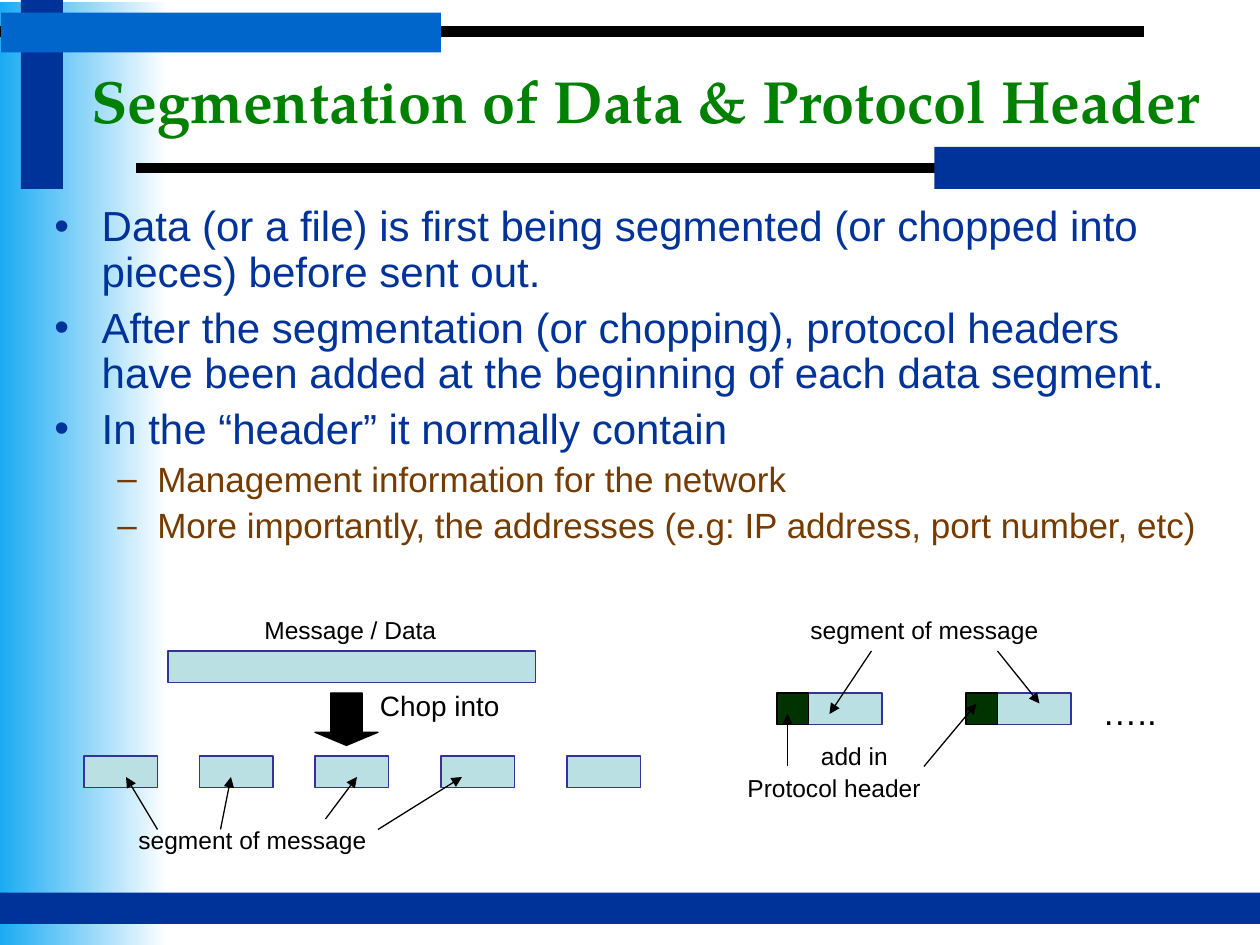
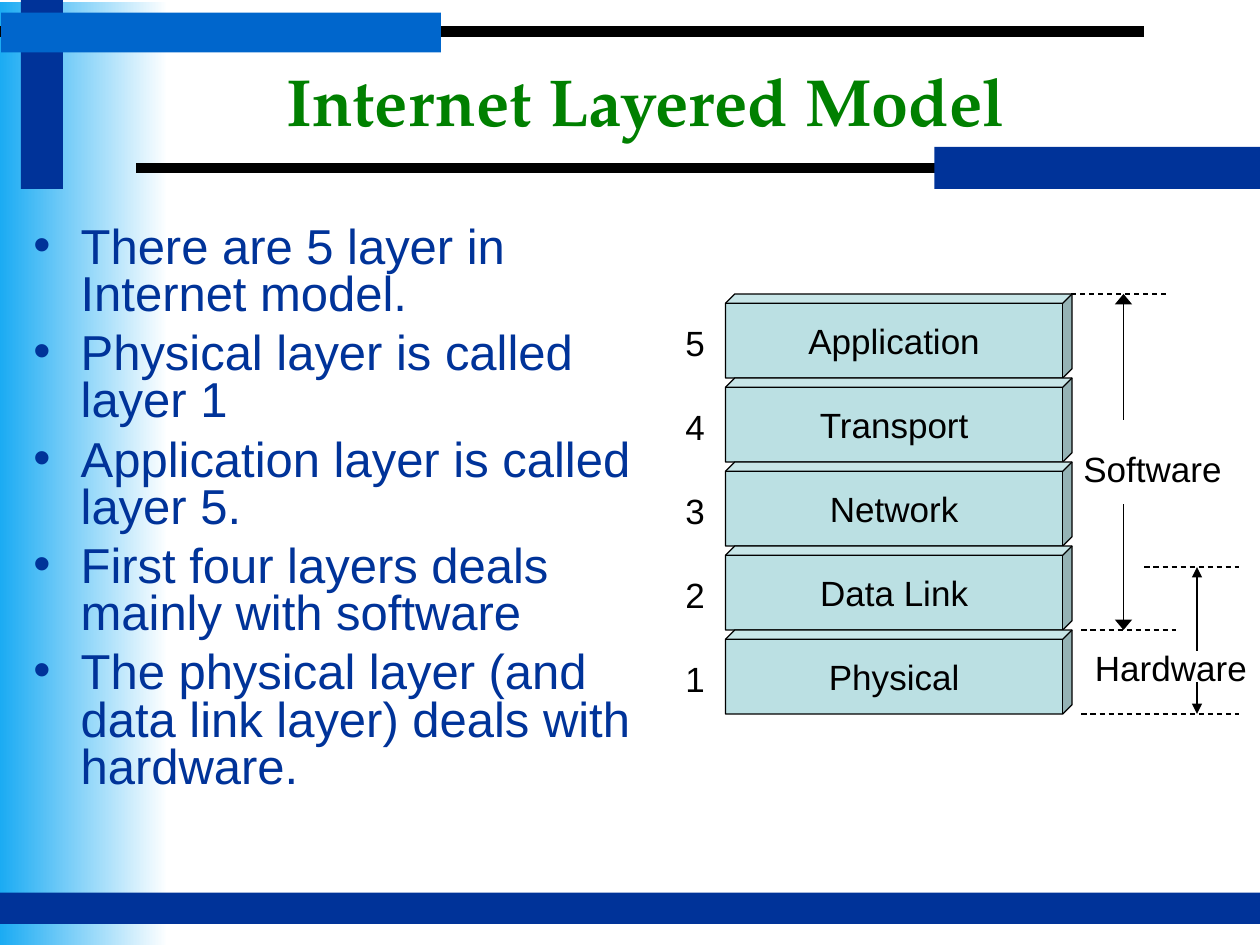
from dataclasses import dataclass

from lxml import etree
from pptx import Presentation
from pptx.dml.color import RGBColor
from pptx.enum.dml import MSO_LINE
from pptx.enum.shapes import MSO_CONNECTOR, MSO_SHAPE
from pptx.enum.text import MSO_ANCHOR, PP_ALIGN
from pptx.oxml.ns import qn
from pptx.util import Pt

RECTANGLE = MSO_SHAPE.RECTANGLE
DOWN_ARROW = MSO_SHAPE.DOWN_ARROW
CUBE = MSO_SHAPE.CUBE
STRAIGHT = MSO_CONNECTOR.STRAIGHT
DASH = MSO_LINE.DASH
LEFT = PP_ALIGN.LEFT
CENTER = PP_ALIGN.CENTER
TOP = MSO_ANCHOR.TOP
MIDDLE = MSO_ANCHOR.MIDDLE

EMU_PER_PX = 7620
SLIDE_WIDTH, SLIDE_HEIGHT = 1200, 900


@dataclass(frozen=True)
class Theme:
    navy: str = "003399"
    blue: str = "0066CC"
    sky: str = "1BABF3"
    white: str = "FFFFFF"
    black: str = "000000"
    title_green: str = "008000"
    brown: str = "763B00"
    pale_teal: str = "BBE0E3"
    segment_edge: str = "333399"
    header_green: str = "003300"
    title_font: str = "TeX Gyre Pagella"
    body_font: str = "Arial"
    wide_title: int = 34
    title: int = 38
    large_body: int = 28
    body: int = 24
    sub_body: int = 20
    caption: int = 14
    step: int = 16
    label: int = 20
    rule: float = 6
    hairline: float = 0.75


THEME = Theme()


def px(length):
    return length * EMU_PER_PX


def color(value):
    return RGBColor.from_string(value)


def style_font(font, size, tint, name=THEME.body_font, bold=False):
    font.name = name
    font.size = Pt(size)
    font.bold = bold
    font.color.rgb = color(tint)


def add_block(slide, kind, x, y, width, height, fill, edge=None):
    block = slide.shapes.add_shape(kind, px(x), px(y), px(width), px(height))
    block.shadow.inherit = False
    block.fill.solid()
    block.fill.fore_color.rgb = color(fill)
    if edge:
        block.line.color.rgb = color(edge)
        block.line.width = Pt(THEME.hairline)
    else:
        block.line.fill.background()
    return block


def add_line(slide, start, end, width=THEME.hairline, dashed=False, head=None):
    line = slide.shapes.add_connector(STRAIGHT, *map(px, (*start, *end)))
    line.line.color.rgb = color(THEME.black)
    line.line.width = Pt(width)
    if dashed:
        line.line.dash_style = DASH
    if head:
        outline = line._element.spPr.find(qn("a:ln"))
        etree.SubElement(outline, qn("a:tailEnd"), type="triangle", w=head, len="med")
    etree.SubElement(line._element.spPr, qn("a:effectLst"))


def write(frame, text, size, tint=THEME.black, align=LEFT, anchor=TOP, wrap=False, **font):
    frame.word_wrap = wrap
    frame.vertical_anchor = anchor
    if align == LEFT:
        frame.margin_right = 0
    paragraph = frame.paragraphs[0]
    paragraph.text = text
    paragraph.alignment = align
    style_font(paragraph.font, size, tint, **font)


def add_label(slide, text, x, y, width, height=41, size=THEME.caption, **style):
    label = slide.shapes.add_textbox(px(x), px(y), px(width), px(height))
    write(label.text_frame, text, size, **style)


def add_bullets(slide, box, items, levels, line_spacing):
    body = slide.shapes.add_textbox(*map(px, box)).text_frame
    body.word_wrap = True
    for index, (level, text) in enumerate(items):
        mark, size, tint, margin, hang, space = levels[level]
        paragraph = body.paragraphs[0] if index == 0 else body.add_paragraph()
        paragraph.text = text
        paragraph.level = level
        paragraph.line_spacing = line_spacing
        paragraph.space_before = Pt(space)
        properties = paragraph._p.get_or_add_pPr()
        properties.set("marL", str(px(margin)))
        properties.set("indent", str(px(-hang)))
        mark_color = etree.SubElement(properties, qn("a:buClr"))
        etree.SubElement(mark_color, qn("a:srgbClr"), val=tint)
        etree.SubElement(properties, qn("a:buFont"), typeface=THEME.body_font)
        etree.SubElement(properties, qn("a:buChar"), char=mark)
        style_font(paragraph.font, size, tint)


def add_frame(slide, title, title_size):
    glow = add_block(slide, RECTANGLE, 0, 2, 160, SLIDE_HEIGHT - 2, THEME.sky)
    glow.fill.gradient()
    glow.fill.gradient_angle = 0
    for stop, position, tint in zip(glow.fill.gradient_stops, (0, 1), (THEME.sky, THEME.white)):
        stop.position = position
        stop.color.rgb = color(tint)
    add_line(slide, (130, 160), (SLIDE_WIDTH, 160), THEME.rule)
    add_line(slide, (0, 30), (1090, 30), THEME.rule)
    for x, y, width, height, fill in (
        (20, 0, 40, 180, THEME.navy),
        (1, 12, 419, 38, THEME.blue),
        (890, 140, 310, 40, THEME.navy),
        (0, 850, SLIDE_WIDTH, 30, THEME.navy),
    ):
        add_block(slide, RECTANGLE, x, y, width, height, fill)
    add_label(slide, title, 60, 40, 1110, 110, title_size, tint=THEME.title_green,
              align=CENTER, anchor=MIDDLE, wrap=True, name=THEME.title_font, bold=True)


def add_segment(slide, x, y, width=70):
    add_block(slide, RECTANGLE, x, y, width, 30, THEME.pale_teal, THEME.segment_edge)


def add_pointers(slide, left, top, pointers):
    for x1, y1, x2, y2 in pointers:
        add_line(slide, (left + x1, top + y1), (left + x2, top + y2), head="med")


def draw_chopping(slide, left, top):
    for offset in (0, 110, 220, 340, 460):
        add_segment(slide, left + offset, top + 140)
    add_segment(slide, left + 80, top + 40, 350)
    add_label(slide, "Message / Data", left + 160, top, 187)
    add_label(slide, "segment of message", left + 40, top + 200, 241)
    add_pointers(slide, left, top, (
        (70, 210, 40, 160),
        (130, 210, 140, 160),
        (230, 200, 260, 160),
        (280, 210, 360, 160),
    ))
    chop = add_block(slide, DOWN_ARROW, left + 220, top + 80, 60, 50, THEME.black, THEME.black)
    chop.adjustments[1] = 0.25
    add_label(slide, "Chop into", left + 270, top + 70, 138, 44, THEME.step)


def draw_header_adding(slide, left, top):
    for offset in (40, 220):
        add_segment(slide, left + offset + 30, top + 80)
        add_block(slide, RECTANGLE, left + offset, top + 80, 30, 30,
                  THEME.header_green, THEME.black)
    add_label(slide, "Protocol header", left, top + 150, 188)
    add_label(slide, "…..", left + 338, top + 72, 76, 53, THEME.label)
    add_label(slide, "segment of message", left + 60, top, 241)
    add_label(slide, "add in", left + 70, top + 120, 97)
    add_pointers(slide, left, top, (
        (50, 150, 50, 100),
        (180, 150, 230, 90),
        (130, 40, 90, 100),
        (250, 40, 290, 90),
    ))


def draw_layer_stack(slide, left, top):
    layers = ("Application", "Transport", "Network", "Data Link", "Physical")
    for row, layer in enumerate(layers):
        y = top + row * 80
        cube = add_block(slide, CUBE, left + 50, y, 330, 80, THEME.pale_teal, THEME.black)
        cube.adjustments[0] = 0.11
        write(cube.text_frame, layer, THEME.label, align=CENTER, anchor=MIDDLE)
        add_label(slide, str(len(layers) - row), left, y + 20, 42, 53, THEME.label)


def draw_layer_spans(slide, left, top):
    for text, x, y, width in (("Software", 0, 140, 156), ("Hardware", 11, 330, 168)):
        add_label(slide, text, left + x, top + y, width, 53, THEME.label)
    for x, start, end, head in (
        (50, 200, 320, "lg"),
        (50, 120, 0, "lg"),
        (120, 340, 260, "med"),
        (120, 370, 400, "med"),
    ):
        add_line(slide, (left + x, top + start), (left + x, top + end), head=head)
    for y, start, end in ((0, 0, 90), (260, 70, 160), (320, 10, 100), (400, 10, 160)):
        add_line(slide, (left + start, top + y), (left + end, top + y), dashed=True)


def build_segmentation(slide):
    add_frame(slide, "Segmentation of Data & Protocol Header", THEME.wide_title)
    levels = (("•", THEME.body, THEME.navy, 45, 45, 6),
              ("–", THEME.sub_body, THEME.brown, 98, 38, 5))
    add_bullets(slide, (40, 190, 1120, 370), (
        (0, "Data (or a file) is first being segmented (or chopped into pieces) before sent out."),
        (0, "After the segmentation (or chopping), protocol headers have been added "
            "at the beginning of each data segment."),
        (0, "In the “header” it normally contain"),
        (1, "Management information for the network"),
        (1, "More importantly, the addresses (e.g: IP address, port number, etc)"),
    ), levels, 0.9)
    draw_chopping(slide, 80, 580)
    draw_header_adding(slide, 700, 580)


def build_layered_model(slide):
    add_frame(slide, "Internet Layered Model", THEME.title)
    levels = (("•", THEME.large_body, THEME.navy, 45, 45, 7),)
    add_bullets(slide, (20, 210, 620, 620), (
        (0, "There are 5 layer in Internet model."),
        (0, "Physical layer is called layer 1"),
        (0, "Application layer is called layer 5."),
        (0, "First four layers deals mainly with software"),
        (0, "The physical layer (and data link layer) deals with hardware."),
    ), levels, 0.8)
    draw_layer_stack(slide, 641, 280)
    draw_layer_spans(slide, 1020, 280)


def main():
    deck = Presentation()
    deck.slide_width = px(SLIDE_WIDTH)
    deck.slide_height = px(SLIDE_HEIGHT)
    blank = deck.slide_layouts[6]
    for build in (build_segmentation, build_layered_model):
        build(deck.slides.add_slide(blank))
    deck.save("out.pptx")


if __name__ == "__main__":
    main()
